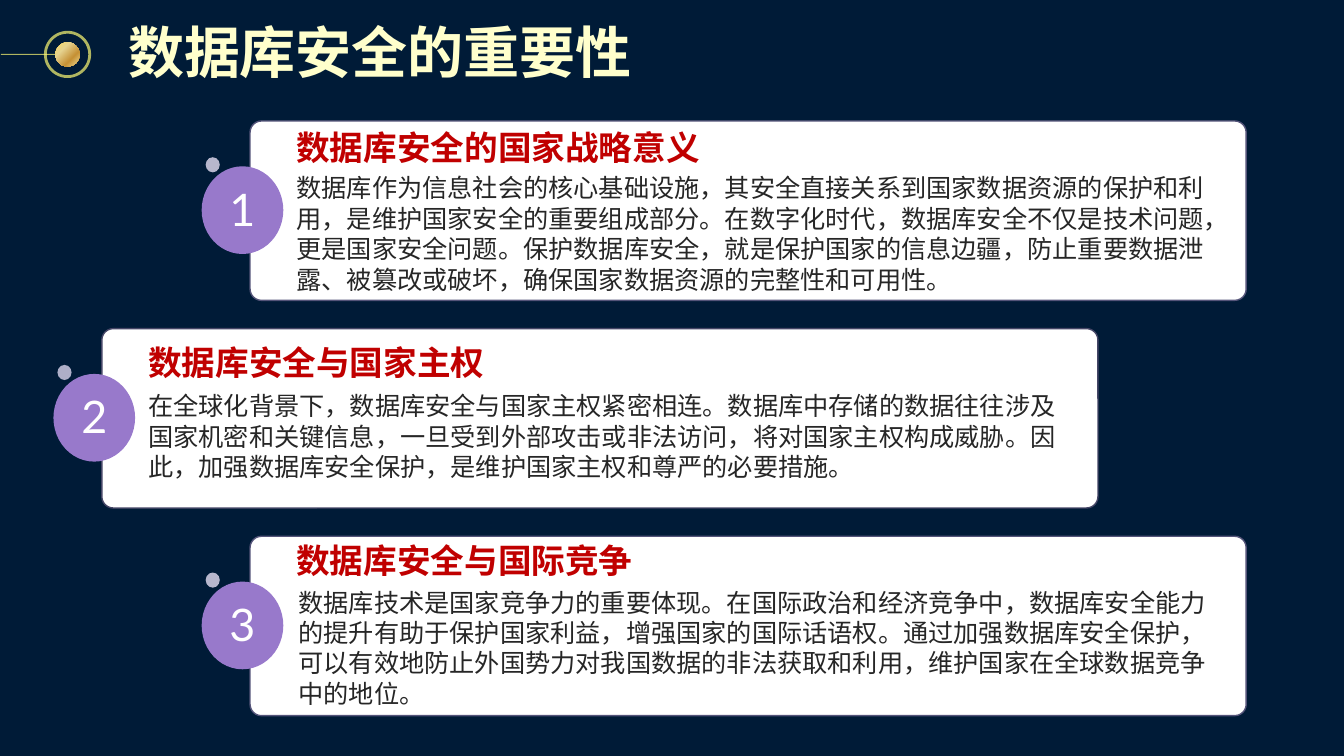
from lxml.etree import SubElement
from pptx import Presentation
from pptx.dml.color import RGBColor
from pptx.enum.shapes import MSO_CONNECTOR, MSO_SHAPE
from pptx.enum.text import MSO_ANCHOR, PP_ALIGN
from pptx.oxml import parse_xml
from pptx.oxml.ns import nsdecls, qn
from pptx.util import Inches, Pt

NAVY = RGBColor(0x00, 0x1B, 0x37)
WHITE = RGBColor(0xFF, 0xFF, 0xFF)
CREAM = RGBColor(0xFF, 0xFF, 0xCC)
YELLOW = RGBColor(0xFC, 0xF8, 0x73)
RED = RGBColor(0xC0, 0x00, 0x00)
INK = RGBColor(0x26, 0x26, 0x26)
PURPLE = RGBColor(0x98, 0x79, 0xCB)
SLATE = RGBColor(0x54, 0x54, 0x79)
DARK_SLATE = RGBColor(0x45, 0x46, 0x66)
LILAC = RGBColor(0xB7, 0xB7, 0xCD)
DARK_LILAC = RGBColor(0xAE, 0xAF, 0xC8)
GOLD_STOPS = [(0, RGBColor(0xFC, 0xD8, 0x60)), (31, RGBColor(0xE6, 0xD3, 0x8F)),
              (68, RGBColor(0xC6, 0x91, 0x35)), (100, RGBColor(0xF1, 0xDF, 0x97))]
CJK_FONT = "Noto Sans CJK SC"

# left, top, card line, dot colour, body offset from the card, heading drop, heading, body
CARDS = [
    (2.48, 1.2, SLATE, LILAC, (0.46, 0.55), 0.06, "数据库安全的国家战略意义",
     "数据库作为信息社会的核心基础设施，其安全直接关系到国家数据资源的保护和利用，是维护国家安全的重要组成部分。"
     "在数字化时代，数据库安全不仅是技术问题，更是国家安全问题。保护数据库安全，就是保护国家的信息边疆，"
     "防止重要数据泄露、被篡改或破坏，确保国家数据资源的完整性和可用性。"),
    (1.01, 3.26, DARK_SLATE, DARK_LILAC, (0.46, 0.5), 0.13, "数据库安全与国家主权",
     "在全球化背景下，数据库安全与国家主权紧密相连。数据库中存储的数据往往涉及国家机密和关键信息，"
     "一旦受到外部攻击或非法访问，将对国家主权构成威胁。因此，加强数据库安全保护，是维护国家主权和尊严的必要措施。"),
    (2.48, 5.32, SLATE, LILAC, (0.48, 0.54), 0.04, "数据库安全与国际竞争",
     "数据库技术是国家竞争力的重要体现。在国际政治和经济竞争中，数据库安全能力的提升有助于保护国家利益，"
     "增强国家的国际话语权。通过加强数据库安全保护，可以有效地防止外国势力对我国数据的非法获取和利用，"
     "维护国家在全球数据竞争中的地位。"),
]


def set_opacity(line, percent):
    color = line.fill._xPr.find(qn("a:solidFill"))[0]
    SubElement(color, qn("a:alpha"), val=str(percent * 1000))


class SlideBuilder:
    def __init__(self, page):
        self.page = page
        page.background.fill.solid()
        page.background.fill.fore_color.rgb = NAVY

    def shape(self, kind, left, top, width, height, fill=None, line=None, weight=1):
        shape = self.page.shapes.add_shape(
            kind, Inches(left), Inches(top), Inches(width), Inches(height))
        shape.shadow.inherit = False
        if fill is None:
            shape.fill.background()
        else:
            shape.fill.solid()
            shape.fill.fore_color.rgb = fill
        if line is None:
            shape.line.fill.background()
        else:
            shape.line.color.rgb = line
            shape.line.width = Pt(weight)
        return shape

    def text(self, text, left, top, width, height, size, color, font=CJK_FONT, bold=False,
             align=PP_ALIGN.LEFT, anchor=MSO_ANCHOR.MIDDLE, inset=0, wrap=True, spacing=None):
        box = self.page.shapes.add_textbox(
            Inches(left), Inches(top), Inches(width), Inches(height))
        frame = box.text_frame
        frame.word_wrap = wrap
        frame.vertical_anchor = anchor
        frame.margin_left = frame.margin_right = Inches(inset)
        frame.margin_top = frame.margin_bottom = Inches(inset)
        para = frame.paragraphs[0]
        para.alignment = align
        if spacing:
            para.line_spacing = spacing
        span = para.add_run()
        span.text = text
        span.font.size = Pt(size)
        span.font.bold = bold
        span.font.name = font
        span.font.color.rgb = color
        SubElement(span.font._element, qn("a:ea"), typeface=CJK_FONT)
        return span

    def title(self, text):
        span = self.text(text, 1.19, 0.09, 5.21, 0.83, 40, CREAM, font="Arial", bold=True,
                         inset=0.08, wrap=False)
        span.font._element.find(qn("a:solidFill")).addnext(parse_xml(
            f'<a:effectLst {nsdecls("a")}><a:outerShdw blurRad="38100" dist="38100" '
            'dir="2700000" algn="tl"><a:srgbClr val="000000"/></a:outerShdw></a:effectLst>'))

    def ornament(self):
        """Gold ball in a ring, with a line from the slide's left edge."""
        ring = self.shape(MSO_SHAPE.OVAL, 0.45, 0.32, 0.44, 0.44, line=YELLOW, weight=2)
        set_opacity(ring.line, 70)
        lead = self.page.shapes.add_connector(
            MSO_CONNECTOR.STRAIGHT, Inches(0.01), Inches(0.54), Inches(0.55), Inches(0.54))
        lead.line.color.rgb = YELLOW
        lead.line.width = Pt(0.75)
        set_opacity(lead.line, 70)
        SubElement(lead._element.spPr, qn("a:effectLst"))
        ball = self.shape(MSO_SHAPE.OVAL, 0.55, 0.42, 0.24, 0.24, fill=YELLOW)
        ball.rotation = 270
        stops = "".join(f'<a:gs pos="{place * 1000}"><a:srgbClr val="{color}"/></a:gs>'
                        for place, color in GOLD_STOPS)
        solid = ball._element.spPr.find(qn("a:solidFill"))
        solid.getparent().replace(solid, parse_xml(
            f'<a:gradFill {nsdecls("a")}><a:gsLst>{stops}</a:gsLst>'
            '<a:lin ang="8100000" scaled="0"/></a:gradFill>'))

    def card(self, number, left, top, line, dot, body_offset, heading_drop, heading, body):
        panel = self.shape(MSO_SHAPE.ROUNDED_RECTANGLE, left, top, 9.88, 1.78, WHITE, line)
        panel.adjustments[0] = 0.064
        across, down = body_offset
        self.text(body, left + across, top + down, 9.24, 1.13, 18, INK, spacing=Pt(21.7))
        self.shape(MSO_SHAPE.OVAL, left - 0.48, top + 0.45, 0.81, 0.87, PURPLE)
        self.text(str(number), left - 0.32, top + 0.6, 0.49, 0.4, 32, WHITE, font="Lato",
                  align=PP_ALIGN.CENTER, anchor=MSO_ANCHOR.TOP)
        self.shape(MSO_SHAPE.OVAL, left - 0.44, top + 0.36, 0.14, 0.15, dot)
        self.text(heading, left + 0.46, top + heading_drop, 9.24, 0.4, 24, RED, bold=True)


def main():
    deck = Presentation()
    deck.slide_width, deck.slide_height = Inches(13.33), Inches(7.5)
    builder = SlideBuilder(deck.slides.add_slide(deck.slide_layouts[6]))
    builder.ornament()
    builder.title("数据库安全的重要性")
    for number, card in enumerate(CARDS, start=1):
        builder.card(number, *card)
    deck.save("out.pptx")


if __name__ == "__main__":
    main()
